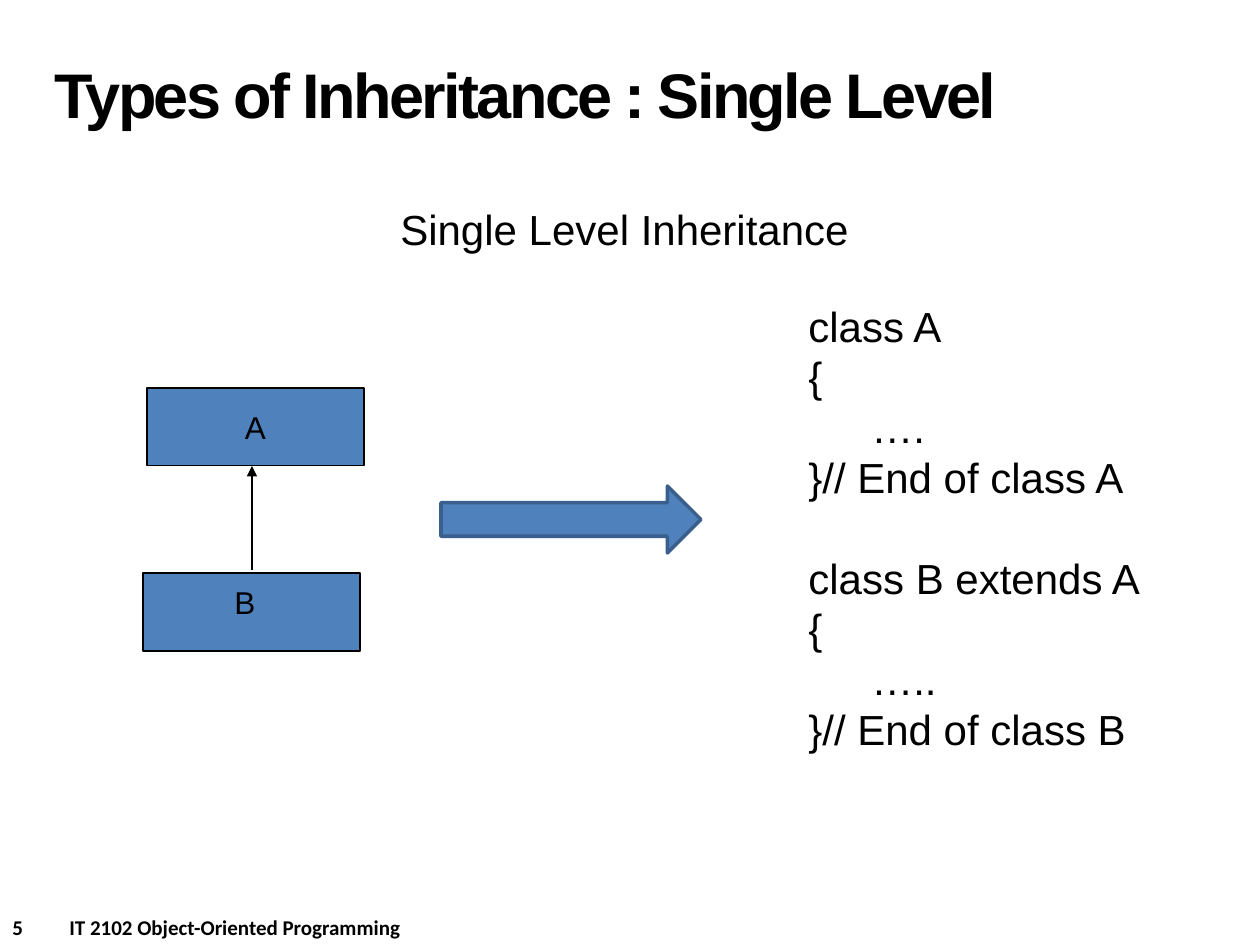
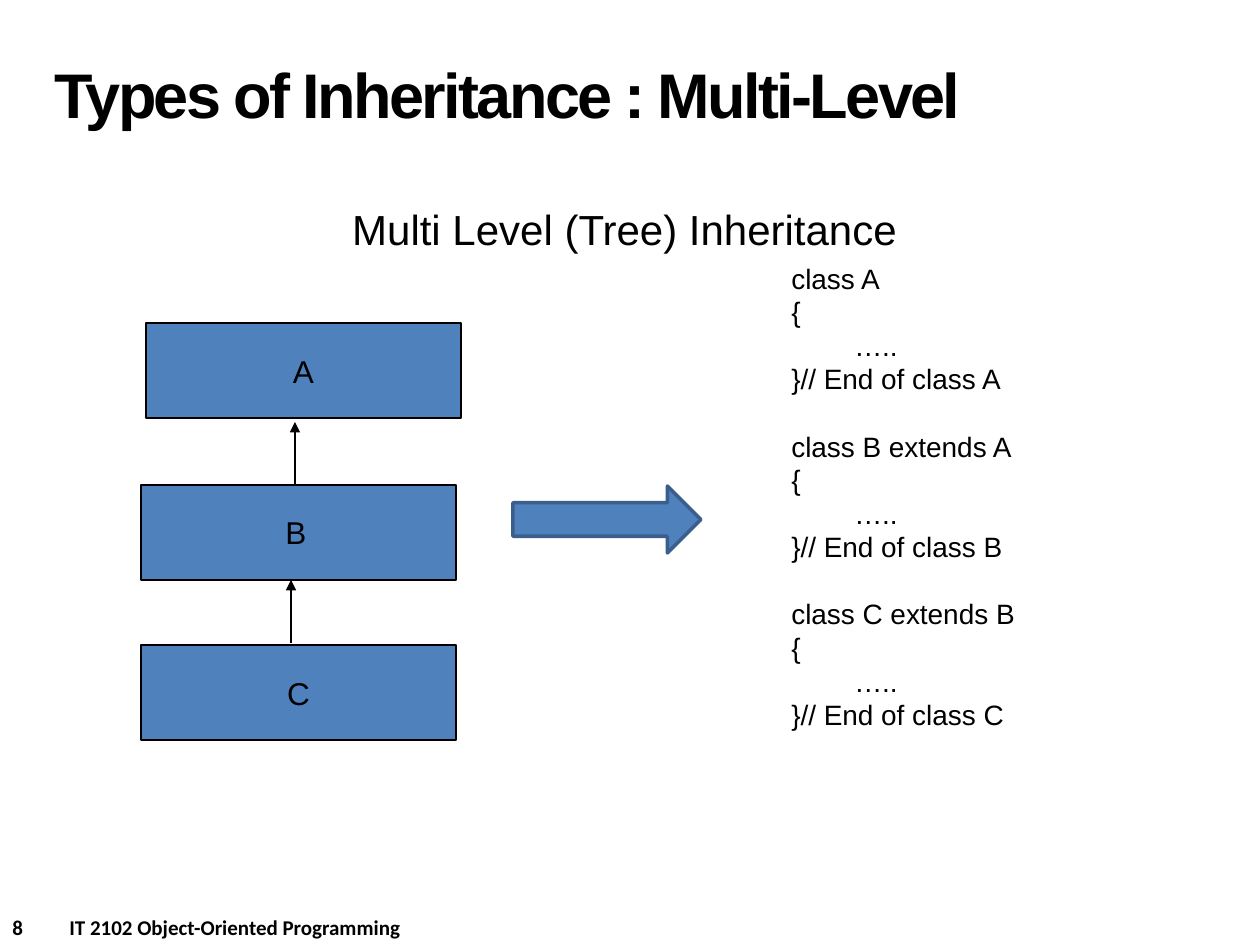
from pptx import Presentation
from pptx.dml.color import RGBColor
from pptx.enum import shapes, text
from pptx.oxml import parse_xml
from pptx.oxml.ns import nsdecls
from pptx.util import Emu, Pt

PX = 914400 // 126  # EMU per pixel

THEME = {
    "text": RGBColor.from_string("000000"),
    "fill": RGBColor.from_string("4F81BD"),
    "arrow_line": RGBColor.from_string("3A5F8C"),
    "font": "Arial", "footer_font": "Calibri",
    "title": 36, "subtitle": 24, "label": 18, "footer": 12,
    "thin": 0.75, "thick": 2,
}
COURSE = "IT 2102 Object-Oriented Programming"
LEFT, CENTER = text.PP_ALIGN.LEFT, text.PP_ALIGN.CENTER

SLIDES = [
    {"number": 5, "title": "Types of Inheritance : Single Level",
     "subtitle": "Single Level Inheritance",
     "box_size": (217, 78),
     "boxes": [("A", 147, 388), ("B", 143, 573)],
     "b_label": (222, 577, 68, 62),
     "links": [(252, 570, 466)],
     "arrow_left": 441,
     "code_box": (796, 294, 420, 471), "code_size": 24,
     "classes": [("class A", "…."), ("class B extends A", "…..")]},
    {"number": 8, "title": "Types of Inheritance : Multi-Level",
     "subtitle": "Multi Level (Tree) Inheritance",
     "box_size": (315, 95),
     "boxes": [("A", 146, 323), ("B", 141, 485), ("C", 141, 645)],
     "b_label": (273, 507, 100, 76),
     "links": [(295, 485, 422), (291, 643, 580)],
     "arrow_left": 513,
     "code_box": (779, 255, 456, 488), "code_size": 16,
     "classes": [("class A", "….."), ("class B extends A", "….."),
                 ("class C extends B", "…..")]},
]


def write(tf, lines, size, align=LEFT, font=THEME["font"], bold=False,
          wrap=True, anchor=text.MSO_ANCHOR.TOP):
    """Fill a text frame, one paragraph per line, and return the paragraphs."""
    tf.word_wrap, tf.vertical_anchor = wrap, anchor
    style = {"name": font, "size": Pt(size), "bold": bold}
    for i, line in enumerate(lines):
        p = tf.add_paragraph() if i else tf.paragraphs[0]
        p.alignment = align
        r = p.add_run()
        r.text = line
        for key, value in style.items():
            setattr(r.font, key, value)
        r.font.color.rgb = THEME["text"]
    return tf.paragraphs


def add_block(parent, kind, box, line_color, line_width):
    """Add a filled, outlined preset shape."""
    sp = parent.add_shape(kind, *(Emu(v * PX) for v in box))
    sp.shadow.inherit = False
    sp.fill.solid()
    sp.fill.fore_color.rgb = THEME["fill"]
    sp.line.color.rgb = line_color
    sp.line.width = Pt(line_width)
    return sp


prs = Presentation()
prs.slide_width, prs.slide_height = Emu(1260 * PX), Emu(945 * PX)

for data in SLIDES:
    s = prs.slides.add_slide(prs.slide_layouts[5])

    # Title
    title = s.shapes.title
    for key, value in zip(("left", "top", "width", "height"), (42, 21, 1173, 158)):
        setattr(title, key, Emu(value * PX))
    p = write(title.text_frame, [data["title"]], THEME["title"], bold=True,
              anchor=text.MSO_ANCHOR.MIDDLE)[0]
    p.line_spacing = Pt(THEME["title"])
    p.runs[0].font._element.set("spc", "-150")

    # Footer: slide number, then course name at a tab stop
    footer = s.shapes.add_textbox(*(Emu(v * PX) for v in (0, 908, 630, 38)))
    p = write(footer.text_frame, [f"{data['number']}\t{COURSE}"], THEME["footer"],
              font=THEME["footer_font"], bold=True)[0]
    p._p.get_or_add_pPr().append(parse_xml(
        f'<a:tabLst {nsdecls("a")}><a:tab pos="{57 * PX}" algn="l"/></a:tabLst>'))

    # Subtitle
    subtitle = s.shapes.add_textbox(*(Emu(v * PX) for v in (14, 197, 1221, 63)))
    write(subtitle.text_frame, [data["subtitle"]], THEME["subtitle"], CENTER)

    # Class diagram
    diagram = s.shapes.add_group_shape().shapes
    for name, x, y in data["boxes"]:
        sp = add_block(diagram, shapes.MSO_SHAPE.RECTANGLE,
                       (x, y, *data["box_size"]), THEME["text"], THEME["thin"])
        if name == "B":
            label = diagram.add_textbox(*(Emu(v * PX) for v in data["b_label"]))
            write(label.text_frame, [name], THEME["label"], wrap=False)
        else:
            write(sp.text_frame, [name], THEME["label"], CENTER, wrap=False,
                  anchor=text.MSO_ANCHOR.MIDDLE)
    for x, start, end in data["links"]:
        link = diagram.add_connector(shapes.MSO_CONNECTOR.STRAIGHT,
                                     *(Emu(v * PX) for v in (x, start, x, end)))
        link.line.color.rgb = THEME["text"]
        link.line.width = Pt(THEME["thin"])
        link.line._get_or_add_ln().append(
            parse_xml(f'<a:tailEnd {nsdecls("a")} type="triangle"/>'))
        link._element.spPr.append(parse_xml(f'<a:effectLst {nsdecls("a")}/>'))

    # Arrow from diagram to code
    left = data["arrow_left"]
    add_block(s.shapes, shapes.MSO_SHAPE.RIGHT_ARROW, (left, 486, 701 - left, 67),
              THEME["arrow_line"], THEME["thick"])

    # Code listing, with one line of space between classes
    lines = []
    for head, body in data["classes"]:
        lines += [head, "{", f"\t{body}", f"}}// End of {head[:7]}"]
    code = s.shapes.add_textbox(*(Emu(v * PX) for v in data["code_box"]))
    pitch = Pt(data["code_size"] * 1.2)
    for i, p in enumerate(write(code.text_frame, lines, data["code_size"])):
        p.line_spacing = pitch
        if i and i % 4 == 0:
            p.space_before = pitch

prs.save("out.pptx")
